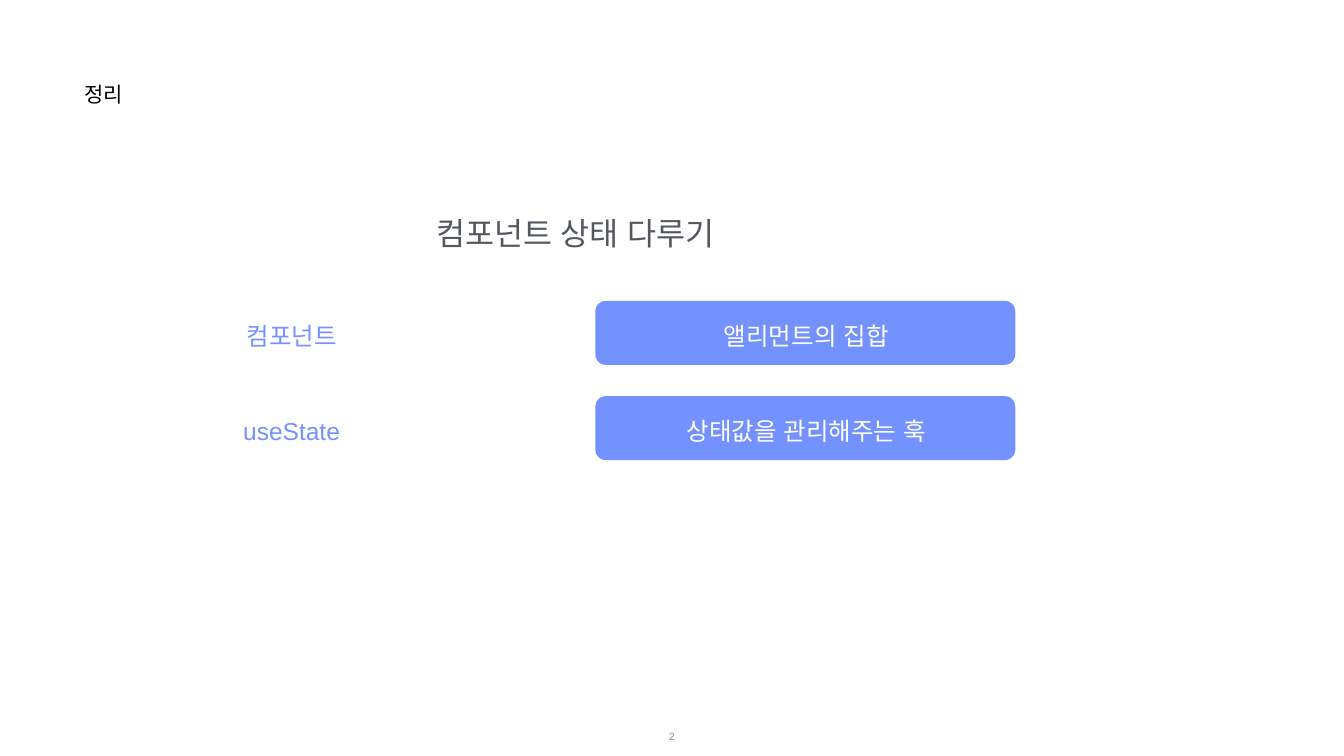
from lxml import etree
from pptx import Presentation
from pptx.dml.color import RGBColor
from pptx.enum.shapes import MSO_SHAPE
from pptx.enum.text import MSO_ANCHOR, PP_ALIGN
from pptx.oxml.ns import qn
from pptx.util import Inches, Pt

FONT = "Arial"
COLORS = {
    "title": "000000",
    "heading": "53585F",
    "accent": "7391FF",
    "white": "FFFFFF",
    "number": "888888",
}
ROWS = [
    ("컴포넌트", "앨리먼트의 집합"),
    ("useState", "상태값을 관리해주는 훅"),
]
ROW_TOP, ROW_PITCH = 5.97, 1.89
CARD_HEIGHT, TEXT_HEIGHT = 1.27, 0.62


def color(name):
    return RGBColor.from_string(COLORS[name])


def add_text(s, text, box, size, color_name,
             align=PP_ALIGN.CENTER, anchor=MSO_ANCHOR.MIDDLE):
    tf = s.shapes.add_textbox(*map(Inches, box)).text_frame
    tf.word_wrap = True
    tf.vertical_anchor = anchor
    tf.margin_left = tf.margin_right = Inches(0.01)
    tf.margin_top = tf.margin_bottom = Inches(0.01)
    p = tf.paragraphs[0]
    p.alignment = align
    r = p.add_run()
    r.text = text
    r.font.size = Pt(size)
    r.font.name = FONT
    r.font.color.rgb = color(color_name)
    # Use the same font for Korean text
    etree.SubElement(r.font._element, qn("a:ea")).set("typeface", FONT)


def add_card(s, box):
    sp = s.shapes.add_shape(MSO_SHAPE.ROUNDED_RECTANGLE, *map(Inches, box))
    sp.adjustments[0] = 0.164
    sp.shadow.inherit = False
    sp.fill.solid()
    sp.fill.fore_color.rgb = color("accent")
    sp.line.fill.background()


def add_row(s, top, term, meaning):
    text_top = top + 0.38
    add_card(s, (11.81, top, 8.33, CARD_HEIGHT))
    add_text(s, term, (2.66, text_top, 6.25, TEXT_HEIGHT), 35, "accent")
    add_text(s, meaning, (11.83, text_top, 8.33, TEXT_HEIGHT), 35, "white")


def main():
    prs = Presentation()
    prs.slide_width, prs.slide_height = Inches(26.66), Inches(15)
    s = prs.slides.add_slide(prs.slide_layouts[6])

    # Title and heading
    add_text(s, "정리", (1.67, 1.6, 4.86, 1.18), 30, "title",
             PP_ALIGN.LEFT, MSO_ANCHOR.TOP)
    add_text(s, "컴포넌트 상태 다루기", (2.64, 4.24, 17.54, 0.79), 45, "heading",
             anchor=MSO_ANCHOR.TOP)

    # Terms and their meanings
    for i, (term, meaning) in enumerate(ROWS):
        add_row(s, ROW_TOP + i * ROW_PITCH, term, meaning)

    # Slide number
    add_text(s, "2", (10.33, 14.21, 6, 0.79), 15, "number")

    prs.save("out.pptx")


if __name__ == "__main__":
    main()
